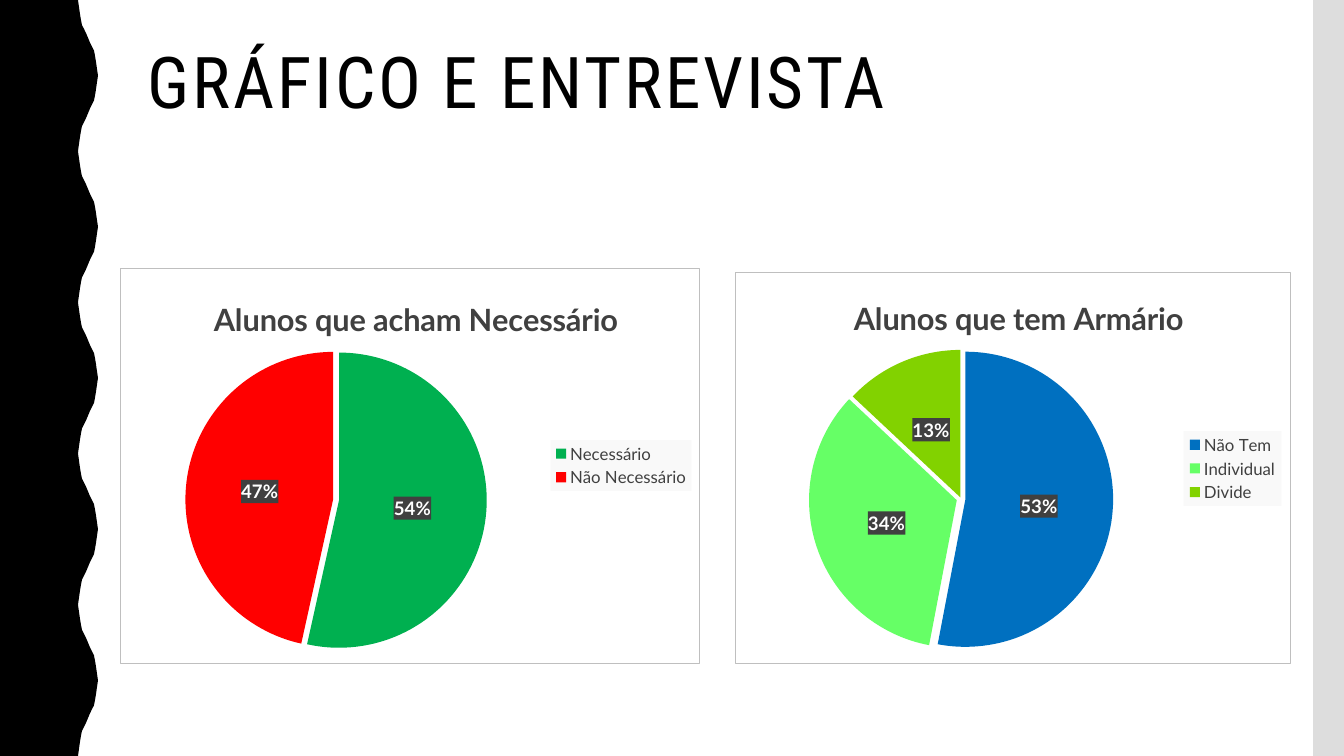
from lxml import etree
from pptx import Presentation, util as u
from pptx.chart.data import CategoryChartData
from pptx.dml.color import RGBColor
from pptx.enum import chart as ch, shapes, text
from pptx.oxml import ns, parse_xml

SIZE = (1344, 756)
HEAD = "GRÁFICO E ENTREVISTA"
HEAD_BOX = (138, 42, 1122, 164)
BAR = (1313, 0, 31, 756)

# Upper quarter of one wave, from the trough to the middle of the slope
WAVE = [(78, 0), (79, 7), (80, 14), (81, 20), (82, 25), (84, 29), (86, 33)]
MID = 88
WAVES = 5

# slices: name, percent, colour, explosion
PIES = [
    dict(title="Alunos que tem Armário", box=(735, 272, 556, 392),
         head=(848, 290), plot=(808, 351, 306, 296),
         key=(1184, 431, 98, 75),
         slices=[("Não Tem", 53, "0070C0", 3),
                 ("Individual", 34, "66FF66", 3),
                 ("Divide", 13, "82D200", 1)]),
    dict(title="Alunos que acham Necessário", box=(120, 268, 580, 396),
         head=(208, 291), plot=(186, 352, 300, 296),
         key=(551, 440, 141, 51),
         slices=[("Necessário", 54, "00B050", 2),
                 ("Não Necessário", 47, "FF0000", 2)]),
]

THEME = dict(
    ink="000000", bar="DDDDDD", paper="FFFFFF", edge="BFBFBF",
    tag="404040", key="F9F9F9",
    head=dict(name="Roboto Condensed", size=u.Pt(51), color="000000"),
    base=dict(name="Lato", size=u.Pt(10), color="000000"),
    title=dict(name="Lato", size=u.Pt(22), bold=True, color="404040"),
    legend=dict(name="Lato", size=u.Pt(12), color="404040"),
    label=dict(name="Lato", size=u.Pt(13.3), bold=True, color="FFFFFF"),
)
PX = u.Inches(1) / 100.8


def emu(*vals):
    """Turn pixels into EMU."""
    return [round(v * PX) for v in vals]


def style(font, form):
    """Set font attributes from a dict of format values."""
    for key, val in form.items():
        if key == "color":
            font.color.rgb = RGBColor.from_string(val)
        else:
            setattr(font, key, val)


def paint(shape, color):
    """Give a shape a flat fill without line or shadow."""
    shape.shadow.inherit = False
    shape.fill.solid()
    shape.fill.fore_color.rgb = RGBColor.from_string(color)
    shape.line.fill.background()


def wave(slide):
    """Draw the left band with its periodic wavy edge."""
    step = SIZE[1] / WAVES
    half = step / 2
    down = WAVE + [(MID, half / 2)]
    down += [(2 * MID - x, half - y) for x, y in reversed(WAVE)]
    cycle = down + [(x, step - y) for x, y in reversed(down[:-1])]
    edge = [(x, y + n * step) for n in range(WAVES) for x, y in cycle]
    pts = [emu(*p) for p in edge + [(0, SIZE[1])]]
    pen = slide.shapes.build_freeform(0, 0)
    pen.add_line_segments(pts, close=True)
    paint(pen.convert_to_shape(), THEME["ink"])


def heading(slide):
    """Write the slide heading."""
    box = slide.shapes.add_textbox(*emu(*HEAD_BOX))
    frame = box.text_frame
    frame.word_wrap = True
    frame.vertical_anchor = text.MSO_ANCHOR.TOP
    para = frame.paragraphs[0]
    para.line_spacing = 0.9
    run = para.add_run()
    run.text = HEAD
    style(run.font, THEME["head"])
    run.font._element.set("spc", "200")


def sppr(fill, line=None):
    """Make the fill and line properties of a chart part."""
    def solid(c):
        return f'<a:solidFill><a:srgbClr val="{c}"/></a:solidFill>'
    edge = f'<a:ln w="9525">{solid(line)}</a:ln>' if line else ""
    return parse_xml(f'<c:spPr {ns.nsdecls("c", "a")}>'
                     f'{solid(fill)}{edge}</c:spPr>')


def layout(node, prev, area, box, inner=False):
    """Place a chart part by hand, after the child named prev."""
    for old in node.findall(ns.qn("c:layout")):
        node.remove(old)
    root = etree.Element(ns.qn("c:layout"))
    man = etree.SubElement(root, ns.qn("c:manualLayout"))
    left, top, wide, high = box
    vals = [("xMode", "edge"), ("yMode", "edge"),
            ("x", (area[0] - left) / wide), ("y", (area[1] - top) / high)]
    if inner:
        vals.insert(0, ("layoutTarget", "inner"))
    if len(area) == 4:
        vals += [("w", area[2] / wide), ("h", area[3] / high)]
    for tag, val in vals:
        etree.SubElement(man, ns.qn("c:" + tag)).set("val", str(val))
    if prev:
        node.find(ns.qn(prev)).addnext(root)
    else:
        node.insert(0, root)


def pie(slide, item):
    """Add one pie chart with title, legend and percent labels."""
    box, slices = item["box"], item["slices"]
    data = CategoryChartData()
    data.categories = [s[0] for s in slices]
    data.add_series("Series 1", [s[1] for s in slices])
    chart = slide.shapes.add_chart(
        ch.XL_CHART_TYPE.PIE, *emu(*box), data).chart
    style(chart.font, THEME["base"])
    root = chart._chartSpace
    body = root.find(ns.qn("c:chart"))
    body.addnext(sppr(THEME["paper"], THEME["edge"]))

    chart.has_title = True
    frame = chart.chart_title.text_frame
    frame.text = item["title"]
    style(frame.paragraphs[0].runs[0].font, THEME["title"])
    layout(chart.chart_title._element, "c:tx", item["head"], box)

    chart.has_legend = True
    key = chart.legend
    key.position = ch.XL_LEGEND_POSITION.RIGHT
    key.include_in_layout = False
    style(key.font, THEME["legend"])
    layout(key._element, "c:legendPos", item["key"], box)
    key._element.find(ns.qn("c:overlay")).addnext(sppr(THEME["key"]))
    layout(body.find(ns.qn("c:plotArea")), None, item["plot"], box, True)

    plot = chart.plots[0]
    plot.vary_by_categories = True
    for n, (_, _, color, gap) in enumerate(slices):
        form = plot.series[0].points[n].format
        form.fill.solid()
        form.fill.fore_color.rgb = RGBColor.from_string(color)
        form.line.fill.background()
        dot = plot.series[0]._element.findall(ns.qn("c:dPt"))[n]
        out = etree.Element(ns.qn("c:explosion"))
        out.set("val", str(gap))
        dot.find(ns.qn("c:spPr")).addprevious(out)

    tags = plot.series[0].data_labels
    form = dict(show_value=True, show_percentage=False,
                number_format='0"%"', number_format_is_linked=False,
                position=ch.XL_LABEL_POSITION.CENTER)
    for name, val in form.items():
        setattr(tags, name, val)
    style(tags.font, THEME["label"])
    tags._element.find(ns.qn("c:txPr")).addprevious(sppr(THEME["tag"]))


def main():
    """Build and save the slide."""
    deck = Presentation()
    deck.slide_width, deck.slide_height = emu(*SIZE)
    slide = deck.slides.add_slide(deck.slide_layouts[6])
    wave(slide)
    bar = slide.shapes.add_shape(shapes.MSO_SHAPE.RECTANGLE, *emu(*BAR))
    paint(bar, THEME["bar"])
    heading(slide)
    for item in PIES:
        pie(slide, item)
    deck.save("out.pptx")


main()
